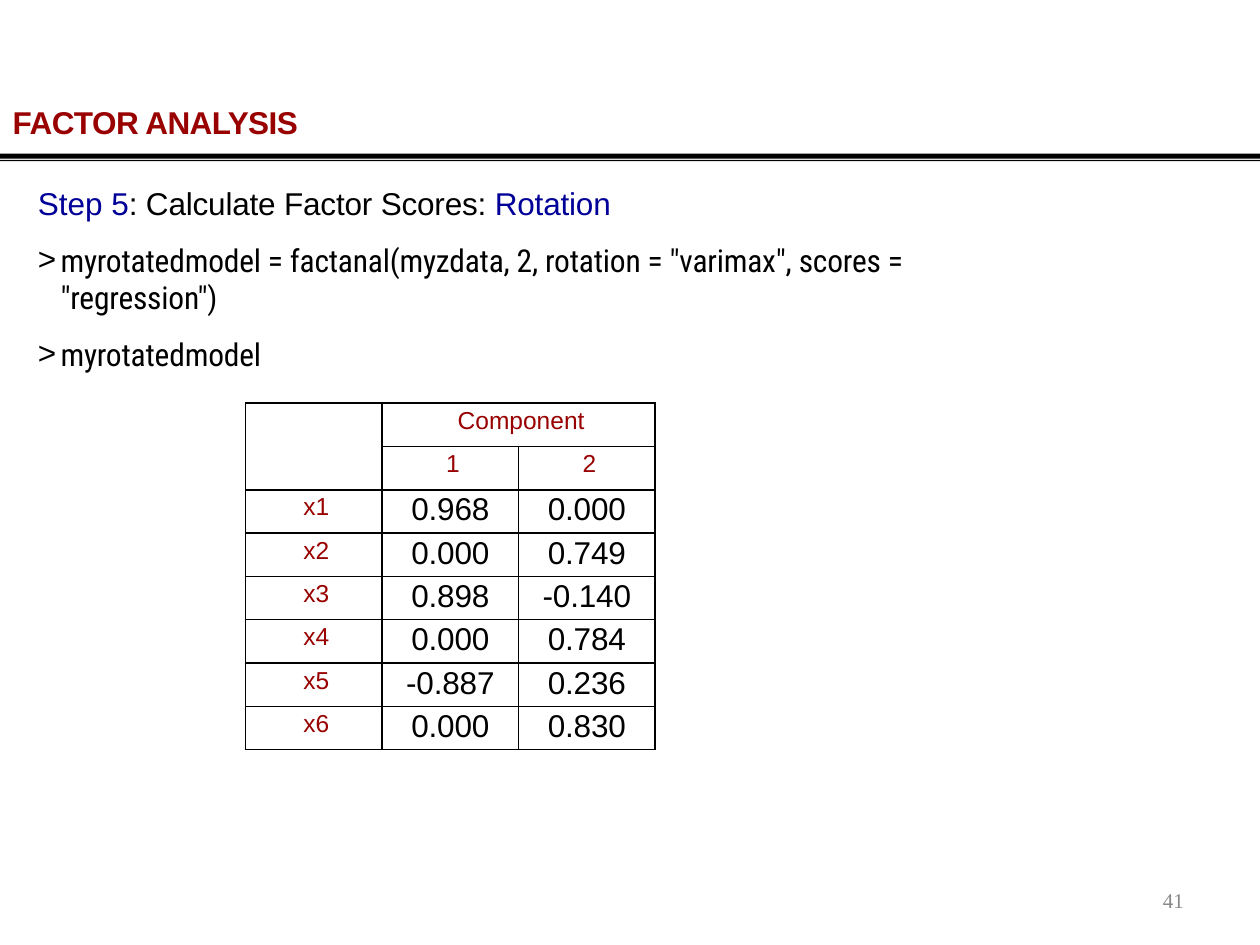
from dataclasses import dataclass

from lxml.etree import SubElement
from pptx import Presentation
from pptx.dml.color import RGBColor
from pptx.enum.text import PP_ALIGN
from pptx.oxml.ns import qn
from pptx.util import Inches, Pt

RED, BLUE, BLACK, GREY = "990000", "000099", "000000", "888888"
CODE_FONT = "Roboto Condensed"


@dataclass
class Span:
    text: str
    color: str = BLACK
    size: float = 18
    font: str = "Arial"
    bold: bool = False
    spacing: float = 0


@dataclass
class Line:
    spans: list[Span]
    indent: float = 0
    hanging: float = 0
    before: float = 0
    bullet: str = ""
    align: PP_ALIGN = PP_ALIGN.LEFT
    line_height: float = 0


def rgb(value: str) -> RGBColor:
    return RGBColor.from_string(value)


def write_line(para, line: Line) -> None:
    properties = para._p.get_or_add_pPr()
    properties.set("marL", str(Inches(line.indent)))
    properties.set("indent", str(Inches(-line.hanging)))
    if line.bullet:
        SubElement(properties, qn("a:buFont"), typeface="Arial")
        SubElement(properties, qn("a:buChar"), char=line.bullet)
    para.alignment = line.align
    if line.before:
        para.space_before = Pt(line.before)
    if line.line_height:
        para.line_spacing = Pt(line.line_height)
    for span in line.spans:
        run = para.add_run()
        run.text = span.text
        formats = {"name": span.font, "size": Pt(span.size), "bold": span.bold}
        for name, value in formats.items():
            setattr(run.font, name, value)
        run.font.color.rgb = rgb(span.color)
        if span.spacing:
            run._r.get_or_add_rPr().set("spc", str(round(span.spacing * 100)))


def set_margins(holder, top: float) -> None:
    margins = {"left": 0, "top": top, "right": 0, "bottom": 0}
    for side, value in margins.items():
        setattr(holder, f"margin_{side}", Inches(value))


def add_text(page, left: float, top: float, width: float, height: float,
             lines: list[Line]) -> None:
    box = page.shapes.add_textbox(Inches(left), Inches(top), Inches(width), Inches(height))
    frame = box.text_frame
    frame.word_wrap = True
    set_margins(frame, 0)
    for index, line in enumerate(lines):
        para = frame.add_paragraph() if index else frame.paragraphs[0]
        write_line(para, line)


def add_double_rule(page) -> None:
    bands = [(1.22, 1.26), (1.27, 1.28)]
    builder = page.shapes.build_freeform(0, Inches(bands[0][0]))
    for top, bottom in bands:
        builder.move_to(0, Inches(top))
        corners = [(10, top), (10, bottom), (0, bottom)]
        builder.add_line_segments([(Inches(x), Inches(y)) for x, y in corners])
    rule = builder.convert_to_shape()
    rule.shadow.inherit = False
    rule.fill.solid()
    rule.fill.fore_color.rgb = rgb(BLACK)
    rule.line.fill.background()


def style_cell(cell) -> None:
    properties = cell._tc.get_or_add_tcPr()
    for side in ("lnL", "lnR", "lnT", "lnB"):
        border = SubElement(properties, qn(f"a:{side}"), w=str(Pt(1)))
        fill = SubElement(border, qn("a:solidFill"))
        SubElement(fill, qn("a:srgbClr"), val=BLACK)
    cell.fill.background()
    set_margins(cell, 0)


def fill_cell(cell, text: str, heading: bool) -> None:
    set_margins(cell, 0.03 if heading else 0.02)
    if heading:
        line = Line([Span(text, RED, 14)], indent=0.04, align=PP_ALIGN.CENTER)
    else:
        line = Line([Span(text, spacing=-0.1)], align=PP_ALIGN.CENTER)
    write_line(cell.text_frame.paragraphs[0], line)


def add_loadings(page, rows: list[tuple[str, str, str]]) -> None:
    frame = page.shapes.add_table(len(rows), 3, Inches(1.95), Inches(3.2),
                                  Inches(3.25), Inches(2.75))
    table = frame.table
    table.first_row = table.horz_banding = False
    for cell in table.iter_cells():
        style_cell(cell)
    table.cell(0, 0).merge(table.cell(1, 0))
    table.cell(0, 1).merge(table.cell(0, 2))
    for row, texts in enumerate(rows):
        for column, text in enumerate(texts):
            if text:
                fill_cell(table.cell(row, column), text, row < 2 or column == 0)


def main() -> None:
    deck = Presentation()
    deck.slide_width, deck.slide_height = Inches(10), Inches(7.5)
    page = deck.slides.add_slide(deck.slide_layouts[6])

    # Rule and page number
    add_double_rule(page)
    number = Span("41", GREY, 12, "Times New Roman")
    add_text(page, 9.17, 7.05, 0.27, 0.22,
             [Line([number], indent=0.06, line_height=14.1)])

    # Title
    title = Span("FACTOR ANALYSIS", RED, bold=True, spacing=-0.3)
    add_text(page, 0.09, 0.82, 7.92, 0.3, [Line([title], indent=0.01)])

    # Step heading and commands
    step = [Span("Step 5", BLUE), Span(": Calculate Factor Scores: ", spacing=-0.1),
            Span("Rotation", BLUE, spacing=-0.1)]
    commands = [
        'myrotatedmodel = factanal(myzdata, 2, rotation = "varimax", scores = "regression")',
        "myrotatedmodel",
    ]
    lines = [Line(step, indent=0.21)]
    for command in commands:
        span = Span(command, font=CODE_FONT, spacing=-0.1)
        lines.append(Line([span], indent=0.39, hanging=0.18, before=10.8, bullet=">"))
    add_text(page, 0.09, 1.46, 7.92, 1.5, lines)

    # Rotated loadings
    add_loadings(page, [
        ("", "Component", ""),
        ("", "1", "2"),
        ("x1", "0.968", "0.000"),
        ("x2", "0.000", "0.749"),
        ("x3", "0.898", "-0.140"),
        ("x4", "0.000", "0.784"),
        ("x5", "-0.887", "0.236"),
        ("x6", "0.000", "0.830"),
    ])
    deck.save("out.pptx")


if __name__ == "__main__":
    main()
